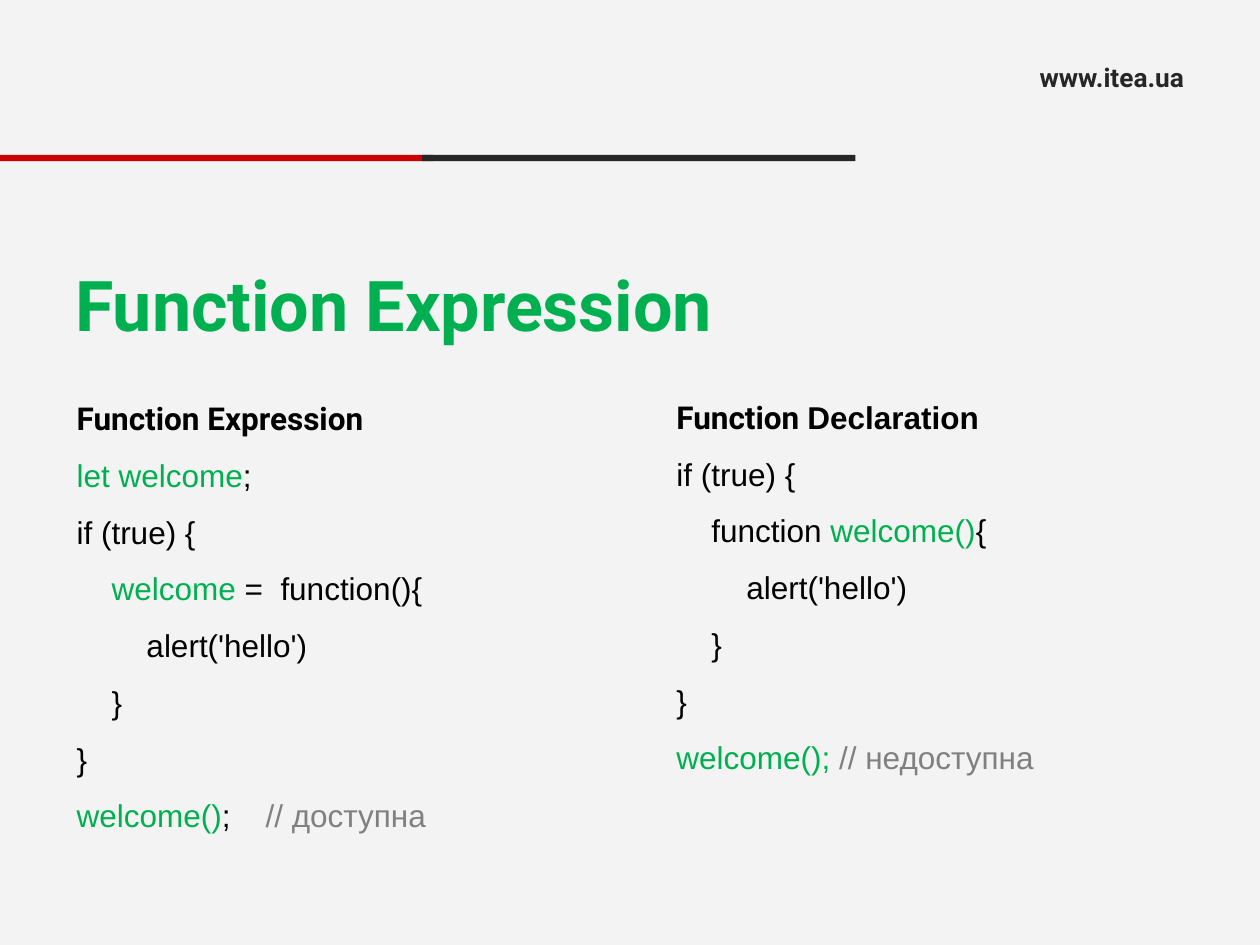
"""Builds a slide comparing a function expression with a function declaration."""
from pptx import Presentation
from pptx import util as u
from pptx.dml.color import RGBColor
from pptx.enum import shapes, text

COLOURS = {
    "background": "F3F3F3", "red": "CC0000", "dark": "262626",
    "green": "00B050", "black": "000000", "grey": "808080",
}
HEADING, CODE = ("Roboto", True), ("Arial", False)

TITLE = [[("Function Expression", "green", HEADING)]]
ADDRESS = [[("www.itea.ua", "dark", HEADING)]]
EXPRESSION = [
    [("Function Expression", "black", HEADING)],
    [("let welcome", "green", CODE), (";", "black", CODE)],
    [("if (true) {", "black", CODE)],
    [("    ", "black", CODE), ("welcome", "green", CODE), (" =  function(){", "black", CODE)],
    [("        alert('hello')", "black", CODE)],
    [("    }", "black", CODE)],
    [("}", "black", CODE)],
    [("welcome()", "green", CODE), (";\t", "black", CODE), ("// доступна", "grey", CODE)],
]
DECLARATION = [
    [("Function ", "black", HEADING), ("Declaration", "black", ("Arial", True))],
    [("if (true) {", "black", CODE)],
    [("    function ", "black", CODE), ("welcome()", "green", CODE), ("{", "black", CODE)],
    [("        alert('hello')", "black", CODE)],
    [("    }", "black", CODE)],
    [("}", "black", CODE)],
    [("welcome(); ", "green", CODE), ("// недоступна", "grey", CODE)],
]
BARS = [
    ("background", (0, 0, 10, 7.5)),
    ("red", (0, 1.23, 3.44, 0.05)),
    ("dark", (3.35, 1.23, 3.44, 0.05)),
]
TOP, MIDDLE = text.MSO_ANCHOR.TOP, text.MSO_ANCHOR.MIDDLE
LEFT, CENTER = text.PP_ALIGN.LEFT, text.PP_ALIGN.CENTER
TEXTS = [
    (TITLE, (0.5, 2, 9, 0.81), 40, 1, MIDDLE, LEFT),
    (ADDRESS, (7.81, 0.45, 2.03, 0.32), 15, 1, MIDDLE, CENTER),
    (EXPRESSION, (0.51, 2.97, 4.37, 3.99), 18, 1.5, TOP, LEFT),
    (DECLARATION, (5.27, 2.96, 4.37, 3.99), 18, 1.5, TOP, LEFT),
]


def colour(name):
    return RGBColor.from_string(COLOURS[name])


def add_bar(slide, fill, place):
    shape = slide.shapes.add_shape(shapes.MSO_SHAPE.RECTANGLE, *map(u.Inches, place))
    shape.shadow.inherit = False
    shape.fill.solid()
    shape.fill.fore_color.rgb = colour(fill)
    shape.line.fill.background()


def add_text(slide, lines, place, size, spacing, anchor, alignment):
    frame = slide.shapes.add_textbox(*map(u.Inches, place)).text_frame
    frame.word_wrap = True
    frame.vertical_anchor = anchor
    for index, line in enumerate(lines):
        paragraph = frame.add_paragraph() if index else frame.paragraphs[0]
        paragraph.alignment = alignment
        paragraph.line_spacing = spacing
        for words, tint, (font, bold) in line:
            run = paragraph.add_run()
            run.text = words
            run.font.name = font
            run.font.size = u.Pt(size)
            run.font.bold = bold
            run.font.color.rgb = colour(tint)


def main():
    presentation = Presentation()
    presentation.slide_width = u.Inches(10)
    presentation.slide_height = u.Inches(7.5)
    slide = presentation.slides.add_slide(presentation.slide_layouts[6])
    for bar in BARS:
        add_bar(slide, *bar)
    for block in TEXTS:
        add_text(slide, *block)
    presentation.save("out.pptx")


if __name__ == "__main__":
    main()
